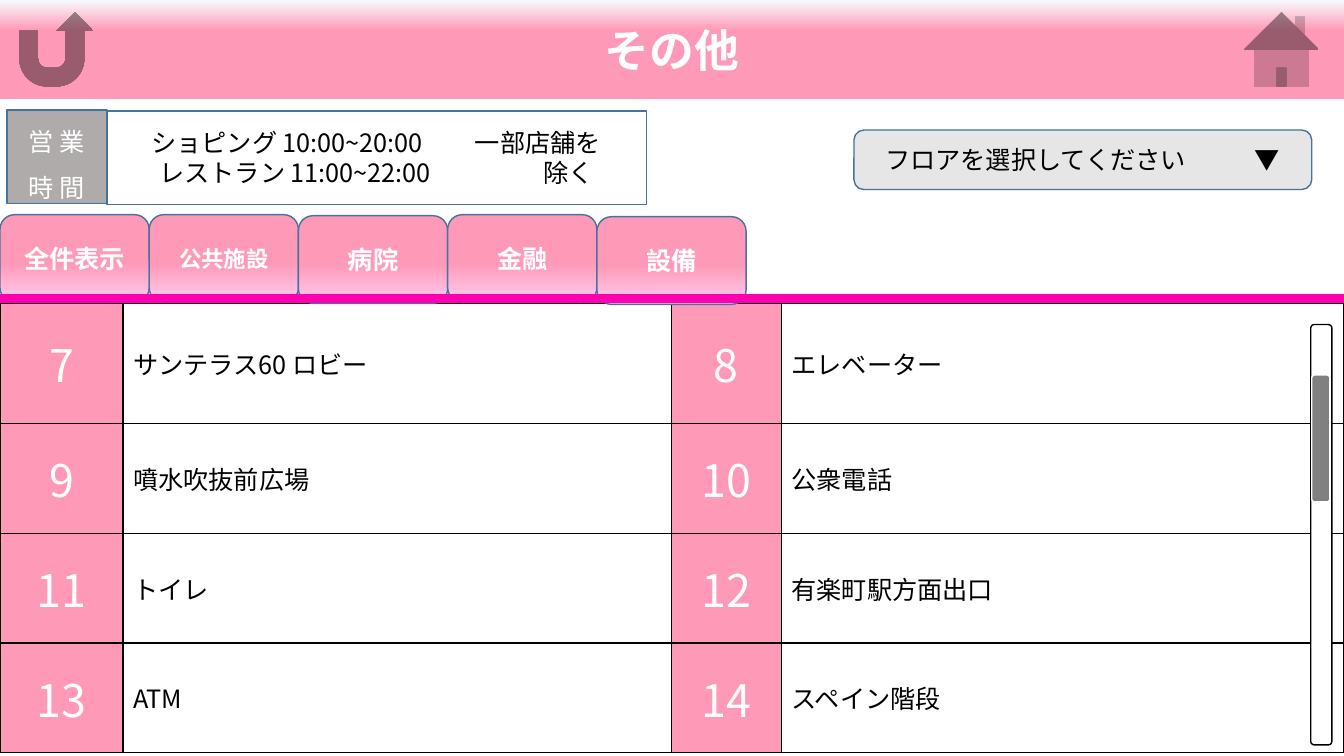
from lxml.etree import SubElement
from pptx import Presentation
from pptx.dml.color import RGBColor
from pptx.enum.shapes import MSO_SHAPE
from pptx.enum.text import MSO_ANCHOR, MSO_AUTO_SIZE, PP_ALIGN
from pptx.oxml import parse_xml
from pptx.oxml.ns import nsdecls, qn
from pptx.util import Inches, Pt

W, H = 13.33, 7.5
FONT = "Noto Sans CJK JP"
C = {"pink": "FF99B8", "pale": "F7FAFD", "blush": "FFCCEF", "magenta": "FD00B0",
     "white": "FFFFFF", "black": "000000", "blue": "43739E", "label": "AFABAB",
     "select": "E7E6E6", "thumb": "808080"}
# Gradients: first colour, position of the pink stop, direction
GRADIENTS = {"header": ("pale", 0.31, 270), "tab": ("blush", 0.45, 90)}


def paint(sp, fill, line=None):
    """Fill and outline a shape with named colours or a named gradient."""
    if fill in GRADIENTS:
        start, stop, angle = GRADIENTS[fill]
        sp.fill.gradient()
        sp.fill.gradient_angle = angle
        for gs, name, pos in zip(sp.fill.gradient_stops, (start, "pink"), (0, stop)):
            gs.color.rgb = RGBColor.from_string(C[name])
            gs.position = pos
    else:
        sp.fill.solid()
        sp.fill.fore_color.rgb = RGBColor.from_string(C[fill])
    if line:
        sp.line.color.rgb = RGBColor.from_string(C[line])
        sp.line.width = Pt(1)
    else:
        sp.line.fill.background()


def write(p, text, size, color, align=PP_ALIGN.CENTER, bold=False, tab=None):
    """Put text in a paragraph, with an optional tab stop in inches."""
    p.text = text
    p.alignment = align
    if tab:
        tabs = SubElement(p._p.get_or_add_pPr(), qn("a:tabLst"))
        SubElement(tabs, qn("a:tab"), pos=str(Inches(tab)), algn="l")
    for r in p.runs:
        for key, value in {"size": Pt(size), "bold": bold, "name": FONT}.items():
            setattr(r.font, key, value)
        r.font.color.rgb = RGBColor.from_string(C[color])
        SubElement(r._r.get_or_add_rPr(), qn("a:ea"), typeface=FONT)


prs = Presentation()
prs.slide_width, prs.slide_height = Inches(W), Inches(H)
s = prs.slides.add_slide(prs.slide_layouts[5])

# Header band
title = s.shapes.title
title.left, title.top, title.width, title.height = 0, 0, Inches(W), Inches(0.98)
paint(title, "header")
title.text_frame.vertical_anchor = MSO_ANCHOR.MIDDLE
title.text_frame.auto_size = MSO_AUTO_SIZE.NONE
write(title.text_frame.paragraphs[0], "その他", 32, "white", bold=True)

# Facility table: number and name, twice per row
rows = [("7", "サンテラス60 ロビー", "8", "エレベーター"),
        ("9", "噴水吹抜前広場", "10", "公衆電話"),
        ("11", "トイレ", "12", "有楽町駅方面出口"),
        ("13", "ATM", "14", "スペイン階段")]
table = s.shapes.add_table(4, 4, 0, Inches(3.01), Inches(W), Inches(4.46)).table
table.first_row = table.horz_banding = False
for col, width in zip(table.columns, (1.22, 5.44, 1.09, 5.58)):
    col.width = Inches(width)
for i, row in enumerate(rows):
    table.rows[i].height = Inches(1.09 if i else 1.19)
    for j, text in enumerate(row):
        cell = table.cell(i, j)
        number = j % 2 == 0
        cell.vertical_anchor = MSO_ANCHOR.MIDDLE
        cell.fill.solid()
        cell.fill.fore_color.rgb = RGBColor.from_string(C["pink" if number else "white"])
        write(cell.text_frame.paragraphs[0], text, 32 if number else 18,
              "white" if number else "black",
              PP_ALIGN.CENTER if number else PP_ALIGN.LEFT)
        for k, side in enumerate("LRTB"):
            cell._tc.get_or_add_tcPr().insert(k, parse_xml(
                f'<a:ln{side} {nsdecls("a")} w="12700"><a:solidFill>'
                f'<a:srgbClr val="{C["black"]}"/></a:solidFill></a:ln{side}>'))

# Shapes from back to front: key, preset, left, top, width, height, fill, line
RECT, ROUND = MSO_SHAPE.RECTANGLE, MSO_SHAPE.FLOWCHART_ALTERNATE_PROCESS
tabs = [("全件表示", 18, 2.13), ("公共施設", 16, 2.13), ("病院", 18, 2.14),
        ("金融", 18, 2.13), ("設備", 18, 2.15)]
TAB_W = 1.48
layout = [("home", MSO_SHAPE.ACTION_BUTTON_HOME, W - 1.24, 0, 1.24, 0.98, "header", None),
          ("return", MSO_SHAPE.ACTION_BUTTON_RETURN, 0, 0, 1.12, 0.98, "header", None),
          ("scroll track", ROUND, 13, 3.22, 0.21, 4.17, "white", "black"),
          ("scroll thumb", ROUND, 13.01, 3.72, 0.18, 1.26, "thumb", "white")]
layout += [(name, ROUND, TAB_W * i, top, TAB_W, 0.87, "tab", "blue")
           for i, (name, size, top) in enumerate(tabs)]
layout += [("tab rule", RECT, 0, 2.92, W, 0.08, "magenta", "magenta"),
           ("floor select", ROUND, 8.47, 1.29, 4.54, 0.59, "select", "blue"),
           ("hours label", RECT, 0.07, 1.09, 0.99, 0.93, "label", "blue"),
           ("hours", RECT, 1.06, 1.1, 5.35, 0.93, "white", "blue")]
parts = {}
for key, preset, x, y, w, h, fill, line in layout:
    sp = s.shapes.add_shape(preset, Inches(x), Inches(y), Inches(w), Inches(h))
    sp.shadow.inherit = False
    paint(sp, fill, line)
    sp.text_frame.word_wrap = True
    sp.text_frame.vertical_anchor = MSO_ANCHOR.MIDDLE
    parts[key] = sp.text_frame

# Category tabs
for name, size, top in tabs:
    write(parts[name].paragraphs[0], name, size, "white", bold=True)

# Floor drop-down
tf = parts["floor select"]
tf.margin_left = Inches(0.28)
write(tf.paragraphs[0], "フロアを選択してください\t▼", 18, "black", PP_ALIGN.LEFT, tab=3.66)

# Opening hours
p = parts["hours label"].paragraphs[0]
write(p, "営 業\v時 間", 18, "white")
p.line_spacing = 1.5
tf = parts["hours"]
tf.margin_left, tf.margin_right = Inches(0.44), 0
write(tf.paragraphs[0], "ショピング 10:00~20:00\t一部店舗を", 18, "black", PP_ALIGN.LEFT, tab=3.21)
p = tf.add_paragraph()
write(p, "レストラン 11:00~22:00\t除く", 18, "black", PP_ALIGN.LEFT, tab=3.81)
p._p.get_or_add_pPr().set("marL", str(Inches(0.08)))

prs.save("out.pptx")
